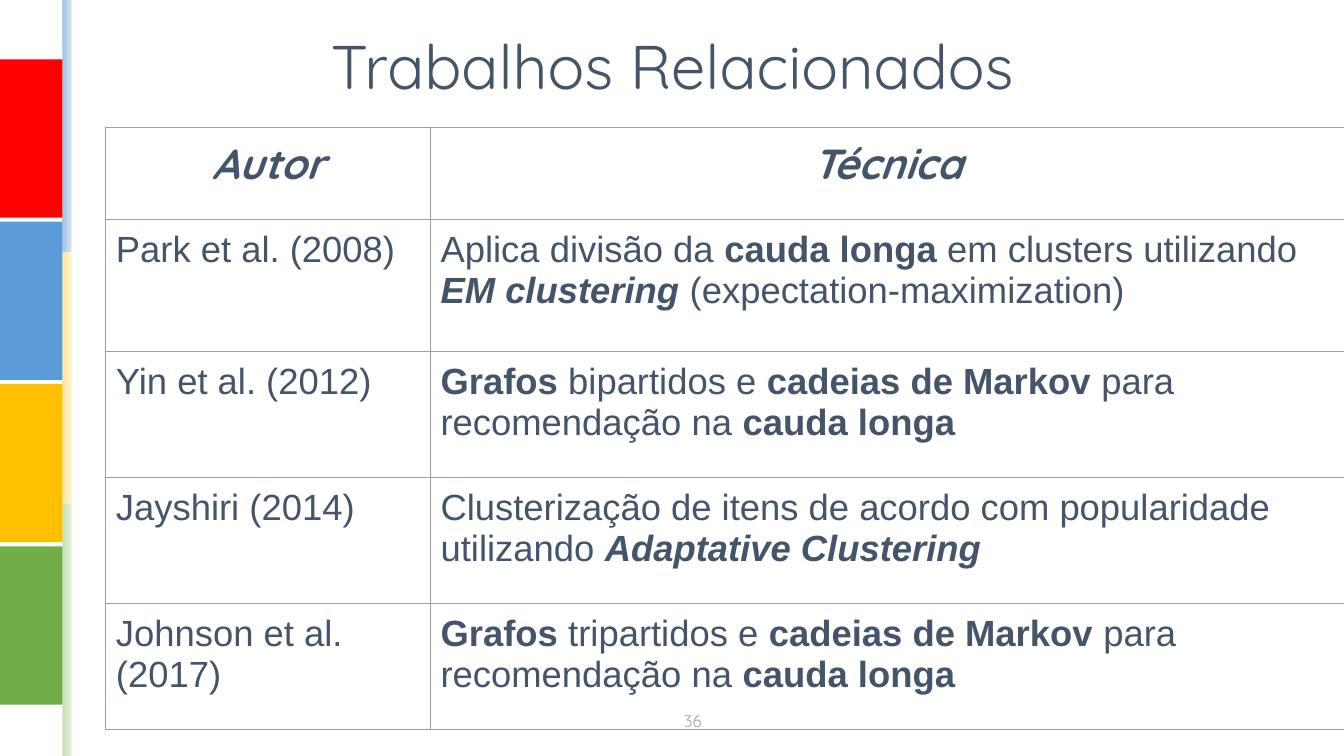
from lxml import etree
from pptx import Presentation
from pptx.dml.color import RGBColor
from pptx.enum.shapes import MSO_SHAPE
from pptx.enum.text import MSO_ANCHOR, PP_ALIGN
from pptx.oxml.ns import qn
from pptx.util import Emu, Pt

RECT = MSO_SHAPE.RECTANGLE
MIDDLE, TOP = MSO_ANCHOR.MIDDLE, MSO_ANCHOR.TOP
CENTER, LEFT = PP_ALIGN.CENTER, PP_ALIGN.LEFT

SLIDE_W, SLIDE_H = 1333, 750
DISPLAY, BODY = "Quicksand", "Arial"
WHITE, INK, GRAY, GRID = "FFFFFF", "44546A", "A5A5A5", "9E9E9E"
BARS = ["FF0000", "5B9BD5", "FFC000", "70AD47"]
STRIPS = ["9CC2E5", "FEE599", "C4E0B2"]

COLUMNS = [322, 906]
ROWS = [92, 131, 125, 125, 125]
HEADERS = ["Autor", "Técnica"]
WORKS = [
    ("Park et al. (2008)",
     [("Aplica divisão da ", ""), ("cauda longa", "b"), (" em clusters utilizando ", ""),
      ("EM clustering", "bi"), (" (expectation-maximization)", "")]),
    ("Yin et al. (2012)",
     [("Grafos", "b"), (" bipartidos e ", ""), ("cadeias de Markov", "b"),
      (" para recomendação na ", ""), ("cauda longa", "b")]),
    ("Jayshiri (2014)",
     [("Clusterização de itens de acordo com popularidade utilizando ", ""),
      ("Adaptative Clustering", "bi")]),
    ("Johnson et al. (2017)",
     [("Grafos ", "b"), ("tripartidos e ", ""), ("cadeias de Markov", "b"),
      (" para recomendação na ", ""), ("cauda longa", "b")]),
]


def px(n):
    """Convert layout pixels, 100 to the inch, to EMU."""
    return Emu(n * 9144)


def rgb(value):
    """Return the colour of a hex string."""
    return RGBColor.from_string(value)


def write(tf, runs, font, size, color, align):
    """Fill the first paragraph with (text, style) runs."""
    p = tf.paragraphs[0]
    p.alignment = align
    for text, style in runs:
        r = p.add_run()
        r.text = text
        r.font.name, r.font.size = font, Pt(size)
        r.font.color.rgb = rgb(color)
        r.font.bold, r.font.italic = "b" in style, "i" in style


def add_label(slide, box, text, size, color):
    """Add a centred one-line text box."""
    tf = slide.shapes.add_textbox(*map(px, box)).text_frame
    tf.word_wrap = True
    tf.vertical_anchor = MIDDLE
    write(tf, [(text, "")], DISPLAY, size, color, CENTER)


def add_rect(slide, box, color, fade=False):
    """Add a borderless rectangle, optionally fading to white rightwards."""
    sp = slide.shapes.add_shape(RECT, *map(px, box))
    sp.shadow.inherit = False
    sp.line.fill.background()
    if fade:
        sp.fill.gradient()
        sp.fill.gradient_angle = 0
        for stop, value, position in zip(sp.fill.gradient_stops, (color, WHITE), (0, 1)):
            stop.color.rgb = rgb(value)
            stop.position = position
    else:
        sp.fill.solid()
        sp.fill.fore_color.rgb = rgb(color)


def add_sidebar(slide, box):
    """Place the colour bars and the fading strips beside them."""
    x, y, w, h = box
    bar_w, strip_w = 62, 16
    strip_h = h // len(STRIPS)
    for i, color in enumerate(STRIPS):
        add_rect(slide, (x + bar_w, y + i * strip_h, strip_w, strip_h), color, True)
    add_rect(slide, (x + w - 7, y, 5, h), WHITE)
    for i, color in enumerate(BARS):
        add_rect(slide, (x, y + 59 + i * 161, bar_w, 157), color)


def set_borders(cell):
    """Draw a thin line on the four sides of a cell."""
    tcPr = cell._tc.get_or_add_tcPr()
    for i, side in enumerate(("a:lnL", "a:lnR", "a:lnT", "a:lnB")):
        ln = etree.Element(qn(side), w=str(Pt(0.75)))
        fill = etree.SubElement(ln, qn("a:solidFill"))
        etree.SubElement(fill, qn("a:srgbClr"), val=GRID)
        tcPr.insert(i, ln)


def add_works_table(slide, box):
    """Build the table of authors and techniques."""
    table = slide.shapes.add_table(len(ROWS), len(COLUMNS), *map(px, box)).table
    table.first_row = table.horz_banding = False
    for column, width in zip(table.columns, COLUMNS):
        column.width = px(width)
    for row, height in zip(table.rows, ROWS):
        row.height = px(height)
    header = [[(name, "bi")] for name in HEADERS]
    body = [[[(author, "")], technique] for author, technique in WORKS]
    for i, row in enumerate([header] + body):
        font, size, align = (BODY, 26, LEFT) if i else (DISPLAY, 30, CENTER)
        for j, runs in enumerate(row):
            cell = table.cell(i, j)
            cell.fill.background()
            cell.vertical_anchor = TOP
            cell.margin_left = cell.margin_right = px(10)
            cell.margin_top = cell.margin_bottom = px(10)
            set_borders(cell)
            write(cell.text_frame, runs, font, size, INK, align)


def main():
    """Build and save the slide."""
    prs = Presentation()
    prs.slide_width, prs.slide_height = px(SLIDE_W), px(SLIDE_H)
    slide = prs.slides.add_slide(prs.slide_layouts[6])
    slide.background.fill.solid()
    slide.background.fill.fore_color.rgb = rgb(WHITE)
    add_sidebar(slide, (0, 0, 78, SLIDE_H))
    add_label(slide, (92, 7, 1150, 114), "Trabalhos Relacionados", 44, INK)
    add_label(slide, (508, 695, 358, 40), "36", 12, GRAY)
    add_works_table(slide, (105, 126, sum(COLUMNS), sum(ROWS)))
    prs.save("out.pptx")


if __name__ == "__main__":
    main()
